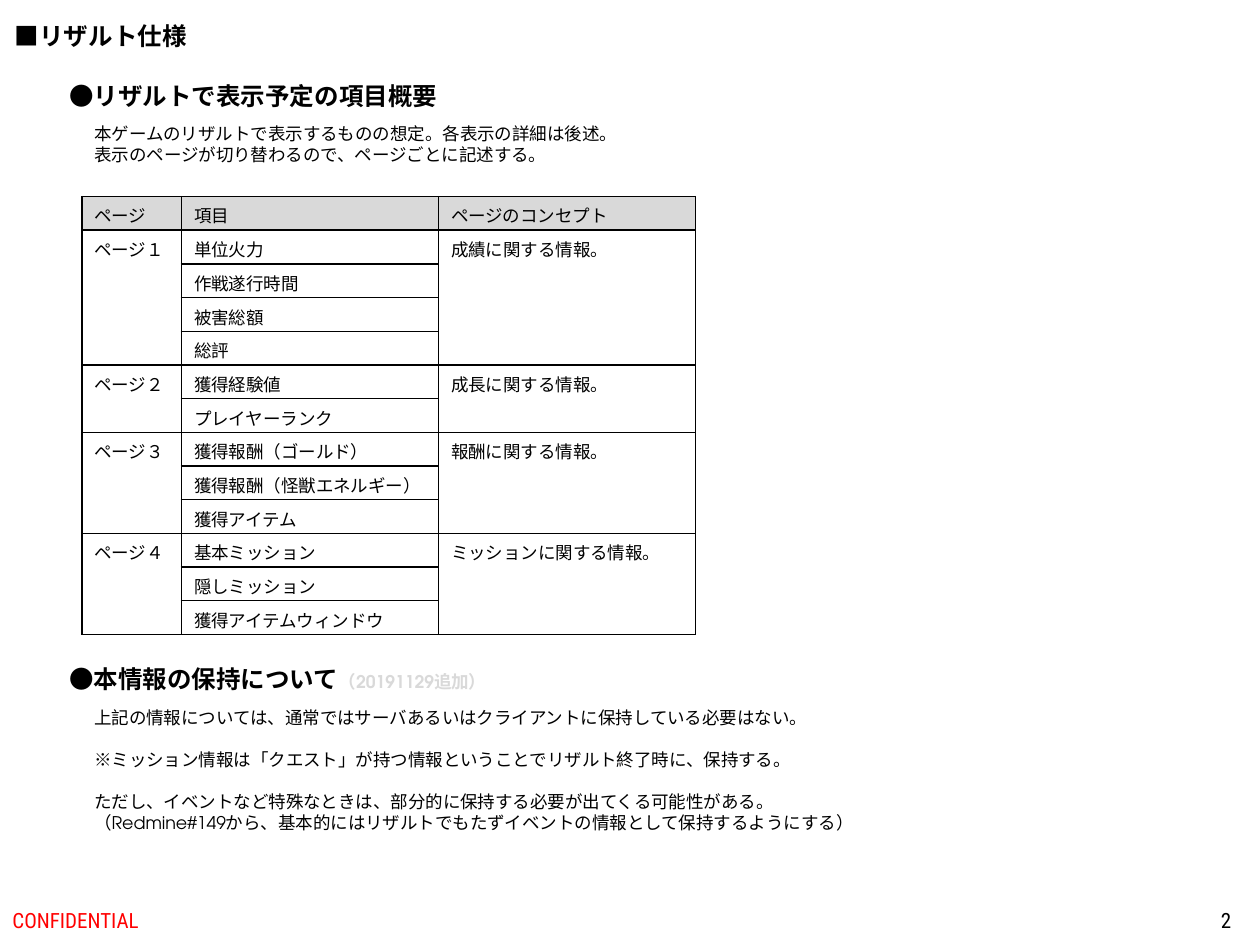
from lxml import etree
from pptx import Presentation, util as u
from pptx.dml.color import RGBColor
from pptx.enum import text
from pptx.oxml.ns import qn

BODY, TITLE, FOOT = "TeX Gyre Adventor", "Arial", "Roboto Condensed"
BLACK, GREY, RED = "000000", "D9D9D9", "FF0000"
LINE = 12  # points, height of one body line

# Content
HEADER = ["ページ", "項目", "ページのコンセプト"]
PAGES = [
    ("ページ１", ["単位火力", "作戦遂行時間", "被害総額", "総評"], "成績に関する情報。"),
    ("ページ２", ["獲得経験値", "プレイヤーランク"], "成長に関する情報。"),
    ("ページ３", ["獲得報酬（ゴールド）", "獲得報酬（怪獣エネルギー）", "獲得アイテム"],
     "報酬に関する情報。"),
    ("ページ４", ["基本ミッション", "隠しミッション", "獲得アイテムウィンドウ"],
     "ミッションに関する情報。"),
]
OVERVIEW = ["本ゲームのリザルトで表示するものの想定。各表示の詳細は後述。",
            "表示のページが切り替わるので、ページごとに記述する。"]
STORAGE = ["上記の情報については、通常ではサーバあるいはクライアントに保持している必要はない。",
           "※ミッション情報は「クエスト」が持つ情報ということでリザルト終了時に、保持する。",
           "ただし、イベントなど特殊なときは、部分的に保持する必要が出てくる可能性がある。",
           "（Redmine#149から、基本的にはリザルトでもたずイベントの情報として保持するようにする）"]

# Grid in inches
HEAD_X, BODY_X = 0.45, 0.65
HEAD_H = 0.34
COLS = [0.79, 2.04, 2.04]
TABLE_Y, TABLE_H = 1.56, 3.47
FOOT_Y, FOOT_H = 7.1, 0.4


def rgb(value):
    return RGBColor.from_string(value)


def add_run(p, words, size=10, font=BODY, color=BLACK, bold=False):
    r = p.add_run()
    r.text = words
    r.font.size, r.font.name, r.font.bold = u.Pt(size), font, bold
    r.font.color.rgb = rgb(color)


def add_text(slide, box, lines, gaps=(), wrap=False, align=None, **fmt):
    """Text box with one paragraph per line; gaps lists lines with space before."""
    sp = slide.shapes.add_textbox(*map(u.Inches, box))
    tf = sp.text_frame
    tf.word_wrap = wrap
    if wrap:
        tf.vertical_anchor = text.MSO_ANCHOR.MIDDLE
    else:
        tf.auto_size = text.MSO_AUTO_SIZE.SHAPE_TO_FIT_TEXT
    for i, line in enumerate(lines):
        p = tf.add_paragraph() if i else tf.paragraphs[0]
        if align is not None:
            p.alignment = align
        if i in gaps:
            p.space_before = u.Pt(LINE)
        add_run(p, line, **fmt)
    return tf


def style_cell(cell, fill=None):
    tcPr = cell._tc.get_or_add_tcPr()
    for side in ("lnL", "lnR", "lnT", "lnB"):
        ln = etree.SubElement(tcPr, qn("a:" + side), w=str(u.Pt(1)))
        solid = etree.SubElement(ln, qn("a:solidFill"))
        etree.SubElement(solid, qn("a:srgbClr"), val=BLACK)
    if fill:
        cell.fill.solid()
        cell.fill.fore_color.rgb = rgb(fill)
    else:
        cell.fill.background()


def add_page_table(slide):
    n = 1 + sum(len(items) for _, items, _ in PAGES)
    frame = slide.shapes.add_table(n, len(COLS), *map(
        u.Inches, (BODY_X, TABLE_Y, sum(COLS), TABLE_H)))
    table = frame.table
    for col, width in zip(table.columns, COLS):
        col.width = u.Inches(width)
    for row in table.rows:
        row.height = u.Inches(TABLE_H / n)
    for i in range(n):
        for j in range(len(COLS)):
            style_cell(table.cell(i, j), None if i else GREY)

    def put(i, j, words):
        add_run(table.cell(i, j).text_frame.paragraphs[0], words)

    for j, words in enumerate(HEADER):
        put(0, j, words)
    top = 1
    for page, items, concept in PAGES:
        for j, words in ((0, page), (2, concept)):
            table.cell(top, j).merge(table.cell(top + len(items) - 1, j))
            put(top, j, words)
        for i, item in enumerate(items, top):
            put(i, 1, item)
        top += len(items)


def main():
    prs = Presentation()
    prs.slide_width, prs.slide_height = u.Inches(10), u.Inches(7.5)
    s = prs.slides.add_slide(prs.slide_layouts[6])

    # Title and footer
    add_text(s, (0.02, 0.12, 1.58, HEAD_H), ["■リザルト仕様"], size=14, font=TITLE, bold=True)
    add_text(s, (0, FOOT_Y, 3.38, FOOT_H), ["CONFIDENTIAL"], wrap=True,
             size=12, font=FOOT, color=RED)
    add_text(s, (7.62, FOOT_Y, 2.25, FOOT_H), ["2"], wrap=True,
             align=text.PP_ALIGN.RIGHT, size=12, font=FOOT)

    # Overview of the items
    add_text(s, (HEAD_X, 0.59, 3.15, HEAD_H), ["●リザルトで表示予定の項目概要"],
             size=14, bold=True)
    add_text(s, (BODY_X, 0.93, 4.41, 0.44), OVERVIEW)
    add_page_table(s)

    # Storage of the information
    tf = add_text(s, (HEAD_X, 5.22, 3.62, HEAD_H), ["●本情報の保持について"],
                  size=14, bold=True)
    add_run(tf.paragraphs[0], "（20191129追加）", color=GREY, bold=True)
    add_text(s, (BODY_X, 5.56, 6.33, 1.11), STORAGE, gaps=(1, 2))

    prs.save("out.pptx")


if __name__ == "__main__":
    main()
